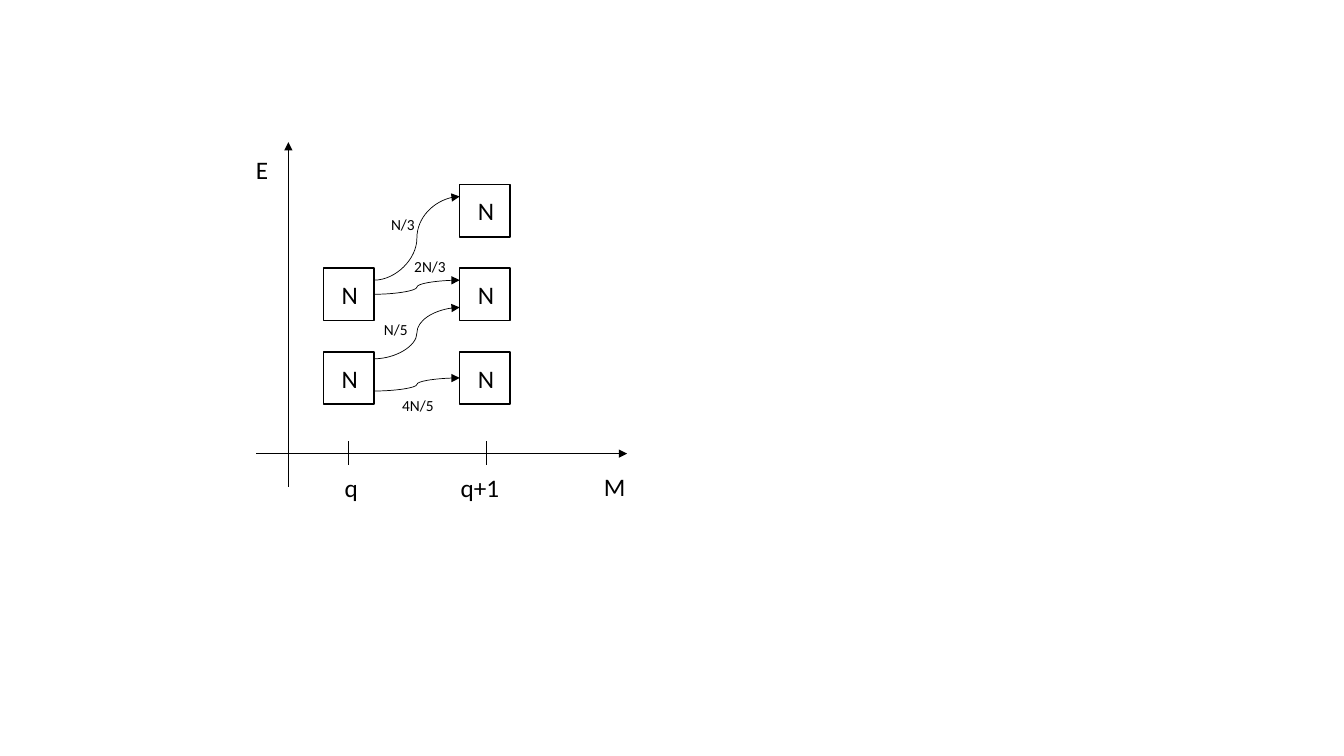
from dataclasses import dataclass

from pptx import Presentation
from pptx.dml.color import RGBColor
from pptx.enum.shapes import MSO_CONNECTOR, MSO_SHAPE
from pptx.enum.text import MSO_ANCHOR, PP_ALIGN
from pptx.oxml.ns import qn
from pptx.util import Inches, Pt
from lxml.etree import SubElement


@dataclass(frozen=True)
class Theme:
    font: str = "Calibri"
    ink: RGBColor = RGBColor(0, 0, 0)
    paper: RGBColor = RGBColor(255, 255, 255)
    label: int = 18
    small: int = 11
    thin: float = 0.5
    border: float = 1


THEME = Theme()

# Content: lengths in inches
AXES = [(2.54, 4.5, 6.22, 4.5), (2.86, 4.83, 2.86, 1.41)]
TICKS = [3.46, 4.82]
AXIS_LABELS = [
    ("E", 2.44, 1.48, 0.51),
    ("M", 5.89, 4.63, 0.66),
    ("q", 3.32, 4.64, 0.42),
    ("q+1", 4.47, 4.64, 0.66),
]
STATE = "N"
COLUMNS = [(3.21, [1, 2]), (4.56, [0, 1, 2])]  # left edge, occupied levels
FLOWS = [  # label, label left and top, start y, end y
    ("N/3", 3.78, 2.08, 2.78, 1.95),
    ("2N/3", 4.01, 2.5, 2.92, 2.78),
    ("N/5", 3.71, 3.13, 3.56, 3.05),
    ("4N/5", 3.89, 3.88, 3.88, 3.75),
]

# Geometry
BOX_W, BOX_H = 0.5, 0.52
TOP_LEVEL, LEVEL_STEP = 1.83, 0.83
TICK_TOP, TICK_BOTTOM = 4.38, 4.61
FLOW_START, FLOW_END = COLUMNS[0][0] + BOX_W, COLUMNS[1][0]


def write(tf, text, size):
    tf.text = text
    p = tf.paragraphs[0]
    p.alignment = PP_ALIGN.LEFT
    font = p.runs[0].font
    font.name, font.size = THEME.font, Pt(size)
    font.color.rgb = THEME.ink


def add_label(slide, text, x, y, w, h, size):
    tb = slide.shapes.add_textbox(Inches(x), Inches(y), Inches(w), Inches(h))
    tb.text_frame.word_wrap = True
    write(tb.text_frame, text, size)


def add_state(slide, x, y):
    s = slide.shapes.add_shape(
        MSO_SHAPE.RECTANGLE, Inches(x), Inches(y), Inches(BOX_W), Inches(BOX_H))
    s.shadow.inherit = False
    s.fill.solid()
    s.fill.fore_color.rgb = THEME.paper
    s.line.color.rgb = THEME.ink
    s.line.width = Pt(THEME.border)
    tf = s.text_frame
    tf.vertical_anchor = MSO_ANCHOR.MIDDLE
    tf.margin_left, tf.margin_right = Inches(0.18), 0
    write(tf, STATE, THEME.label)


def add_line(slide, x1, y1, x2, y2, kind=MSO_CONNECTOR.STRAIGHT, arrow=True):
    c = slide.shapes.add_connector(
        kind, Inches(x1), Inches(y1), Inches(x2), Inches(y2))
    c.line.color.rgb = THEME.ink
    c.line.width = Pt(THEME.thin)
    if arrow:
        SubElement(c.get_or_add_ln(), qn("a:tailEnd"), type="triangle")
    SubElement(c._element.spPr, qn("a:effectLst"))


def main():
    prs = Presentation()
    prs.slide_width, prs.slide_height = Inches(13.33), Inches(7.5)
    slide = prs.slides.add_slide(prs.slide_layouts[6])

    # Axes, ticks and their labels
    for axis in AXES:
        add_line(slide, *axis)
    for x in TICKS:
        add_line(slide, x, TICK_TOP, x, TICK_BOTTOM, arrow=False)
    for text, x, y, w in AXIS_LABELS:
        add_label(slide, text, x, y, w, 0.4, THEME.label)

    # State boxes
    for x, levels in COLUMNS:
        for level in levels:
            add_state(slide, x, TOP_LEVEL + level * LEVEL_STEP)

    # Flows between the two columns
    for text, x, y, start, end in FLOWS:
        add_line(slide, FLOW_START, start, FLOW_END, end, MSO_CONNECTOR.CURVE)
        add_label(slide, text, x, y, 0.61, 0.29, THEME.small)

    prs.save("out.pptx")


if __name__ == "__main__":
    main()
